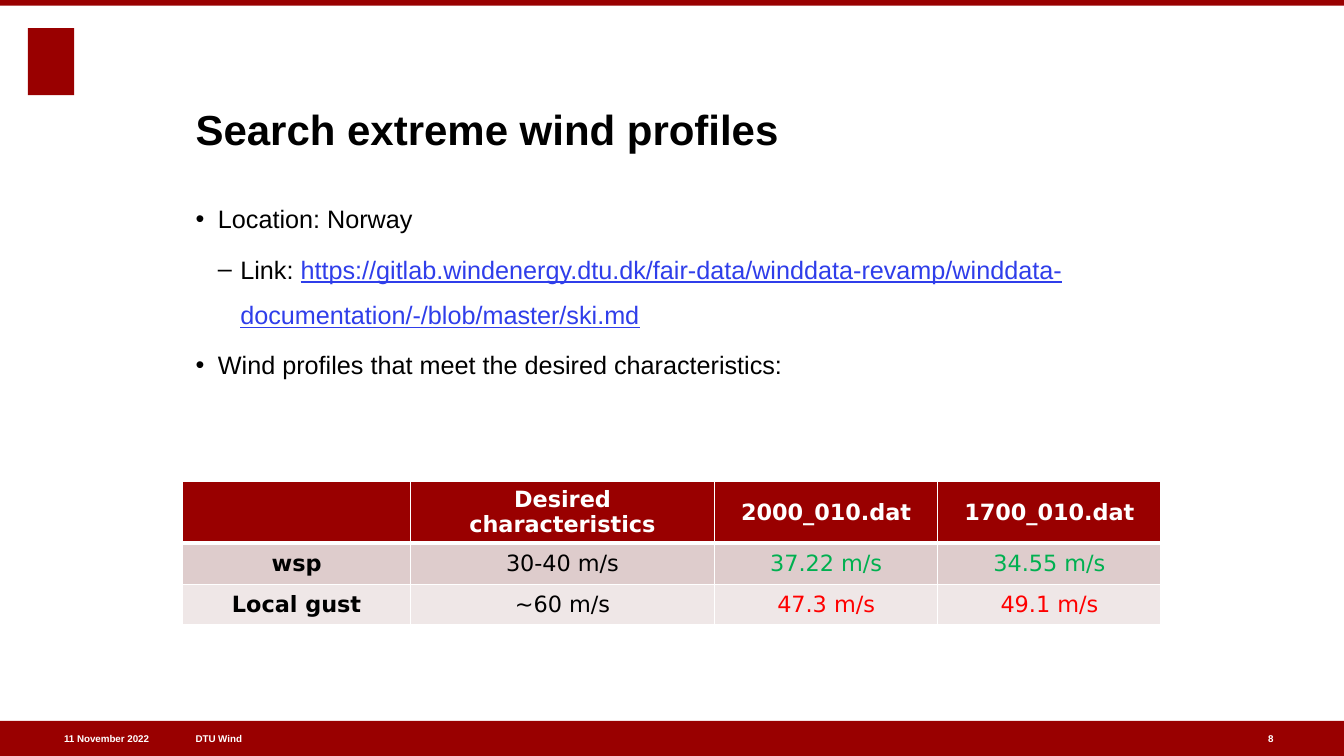
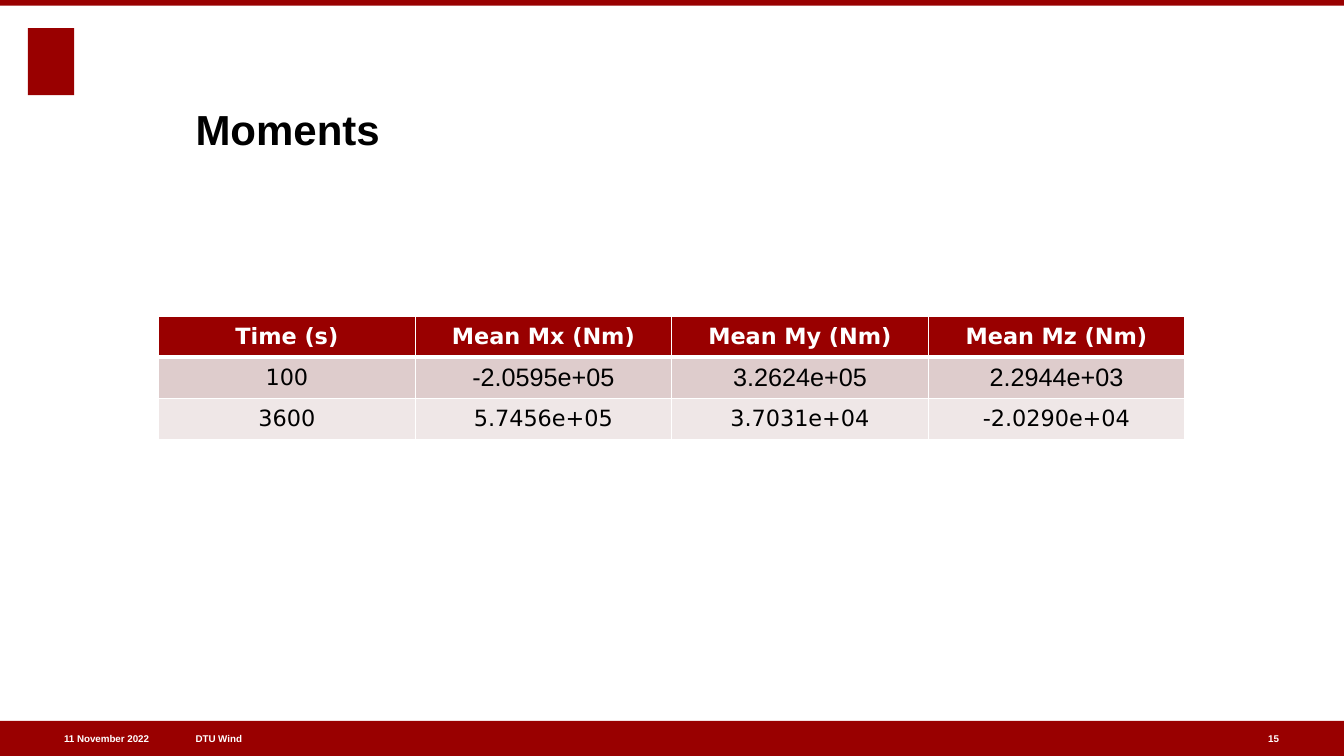
from lxml import etree
from pptx import Presentation
from pptx.dml.color import RGBColor
from pptx.enum import shapes, text
from pptx.oxml import ns
from pptx.util import Pt

COLORS = {
    "red": "990000", "white": "FFFFFF", "black": "000000", "link": "2F3EEA",
    "good": "00B050", "bad": "FF0000", "dark row": "DECCCC", "light row": "EFE7E7",
}
SANS, TABLE_FONT = "Arial", "DejaVu Sans"
WIDTH, HEIGHT = 960, 540
LEFT, CONTENT_WIDTH = 139.7, 733
BAND_TOP, BAND_HEIGHT = 515, 25
ROW_HEIGHT = 29.25
BULLETS = ["•", "–"]
FOOTER = [
    ("DTU Wind", LEFT, 268, text.PP_ALIGN.LEFT),
    ("11 November 2022", 19.5, 87, text.PP_ALIGN.RIGHT),
]
SLIDES = [
    {
        "title": "Search extreme wind profiles",
        "page": "8",
        "body": [
            (0, [("Location: Norway", "black")]),
            (1, [("Link: ", "black"),
                 ("https://gitlab.windenergy.dtu.dk/fair-data/winddata-revamp/"
                  "winddata-documentation/-/blob/master/ski.md", "link")]),
            (0, [("Wind profiles that meet the desired characteristics:", "black")]),
        ],
        "table": {
            "left": 130.5, "top": 343.8, "columns": [162.7, 217.2, 159.5, 159.5],
            "rows": [
                ["", "Desired characteristics", "2000_010.dat", "1700_010.dat"],
                ["wsp", "30-40 m/s", "37.22 m/s", "34.55 m/s"],
                ["Local gust", "~60 m/s", "47.3 m/s", "49.1 m/s"],
            ],
            "bold labels": True,
            "colors": {(1, 2): "good", (1, 3): "good", (2, 2): "bad", (2, 3): "bad"},
            "large": [],
        },
    },
    {
        "title": "Moments",
        "page": "15",
        "body": [],
        "table": {
            "left": 113.3, "top": 226, "columns": [CONTENT_WIDTH / 4] * 4,
            "rows": [
                ["Time (s)", "Mean Mx (Nm)", "Mean My (Nm)", "Mean Mz (Nm)"],
                ["100", "-2.0595e+05", "3.2624e+05", "2.2944e+03"],
                ["3600", "5.7456e+05", "3.7031e+04", "-2.0290e+04"],
            ],
            "bold labels": False,
            "colors": {},
            "large": [(1, 1), (1, 2), (1, 3)],
        },
    },
]


def rgb(name):
    return RGBColor.from_string(COLORS[name])


def style(font, size, color, bold=False, name=SANS):
    font.size, font.bold, font.name = Pt(size), bold, name
    font.color.rgb = rgb(color)


def place(shape, left, top, width, height):
    shape.left, shape.top = Pt(left), Pt(top)
    shape.width, shape.height = Pt(width), Pt(height)


def prepare_frame(frame, anchor):
    frame.word_wrap = True
    frame.auto_size = text.MSO_AUTO_SIZE.NONE
    frame.vertical_anchor = anchor
    frame.margin_left = frame.margin_right = frame.margin_top = frame.margin_bottom = 0


def add_block(slide, left, top, width, height):
    block = slide.shapes.add_shape(
        shapes.MSO_SHAPE.RECTANGLE, Pt(left), Pt(top), Pt(width), Pt(height))
    block.shadow.inherit = False
    block.fill.solid()
    block.fill.fore_color.rgb = rgb("red")
    block.line.fill.background()


def add_band_text(slide, words, left, width, align):
    box = slide.shapes.add_textbox(Pt(left), Pt(BAND_TOP), Pt(width), Pt(BAND_HEIGHT))
    prepare_frame(box.text_frame, text.MSO_ANCHOR.MIDDLE)
    para = box.text_frame.paragraphs[0]
    para.text, para.alignment = words, align
    style(para.runs[0].font, 7, "white", True)


def add_frame(slide, page):
    add_block(slide, 0, 0, WIDTH, 4)
    add_block(slide, 0, BAND_TOP, WIDTH, BAND_HEIGHT)
    add_block(slide, 20, 20, 33, 48)
    for item in FOOTER + [(page, 905.8, 34, text.PP_ALIGN.LEFT)]:
        add_band_text(slide, *item)


def fill_title(slide, words):
    title = slide.shapes.title
    place(title, LEFT, 33.8, CONTENT_WIDTH, 76.3)
    prepare_frame(title.text_frame, text.MSO_ANCHOR.BOTTOM)
    para = title.text_frame.paragraphs[0]
    para.text, para.alignment = words, text.PP_ALIGN.LEFT
    style(para.runs[0].font, 30, "black", True)


def fill_body(slide, items):
    body = slide.placeholders[1]
    place(body, LEFT, 134.6, CONTENT_WIDTH, 358)
    frame = body.text_frame
    prepare_frame(frame, text.MSO_ANCHOR.TOP)
    for index, (level, spans) in enumerate(items):
        para = frame.add_paragraph() if index else frame.paragraphs[0]
        para.level, para.line_spacing = level, 1.5
        para.space_before = Pt(3.6 if index else 0)
        props = para._p.get_or_add_pPr()
        props.set("marL", str(Pt(16 * (level + 1))))
        props.set("indent", str(-Pt(16)))
        etree.SubElement(props, ns.qn("a:buChar"), char=BULLETS[level])
        for words, color in spans:
            span = para.add_run()
            span.text = words
            style(span.font, 18, color)
            span.font.underline = color == "link"


def set_borders(cell, widths):
    props = cell._tc.get_or_add_tcPr()
    for side, width in widths.items():
        line = etree.SubElement(props, ns.qn("a:ln" + side), w=str(Pt(width)))
        fill = etree.SubElement(line, ns.qn("a:solidFill"))
        etree.SubElement(fill, ns.qn("a:srgbClr"), val=COLORS["white"])


def add_data_table(slide, data):
    rows, columns = data["rows"], data["columns"]
    table = slide.shapes.add_table(
        len(rows), len(columns), Pt(data["left"]), Pt(data["top"]),
        Pt(sum(columns)), Pt(ROW_HEIGHT * len(rows))).table
    table.first_row = table.horz_banding = False
    for column, width in zip(table.columns, columns):
        column.width = Pt(width)
    for r, row in enumerate(rows):
        table.rows[r].height = Pt(ROW_HEIGHT)
        for c, words in enumerate(row):
            cell = table.cell(r, c)
            set_borders(cell, {"L": 1, "R": 1, "T": 3 if r == 1 else 1, "B": 1 if r else 3})
            cell.fill.solid()
            cell.fill.fore_color.rgb = rgb(["red", "dark row", "light row"][r])
            cell.vertical_anchor = text.MSO_ANCHOR.MIDDLE
            para = cell.text_frame.paragraphs[0]
            para.text, para.alignment = words, text.PP_ALIGN.CENTER
            size, name = (18, SANS) if (r, c) in data["large"] else (16, TABLE_FONT)
            color = data["colors"].get((r, c), "black" if r else "white")
            bold = r == 0 or (c == 0 and data["bold labels"])
            style(para.font, size, color, bold, name)
            for span in para.runs:
                style(span.font, size, color, bold, name)


def main():
    deck = Presentation()
    deck.slide_width, deck.slide_height = Pt(WIDTH), Pt(HEIGHT)
    for content in SLIDES:
        layout = deck.slide_layouts[1 if content["body"] else 5]
        slide = deck.slides.add_slide(layout)
        add_frame(slide, content["page"])
        fill_title(slide, content["title"])
        if content["body"]:
            fill_body(slide, content["body"])
        add_data_table(slide, content["table"])
    deck.save("out.pptx")


if __name__ == "__main__":
    main()
